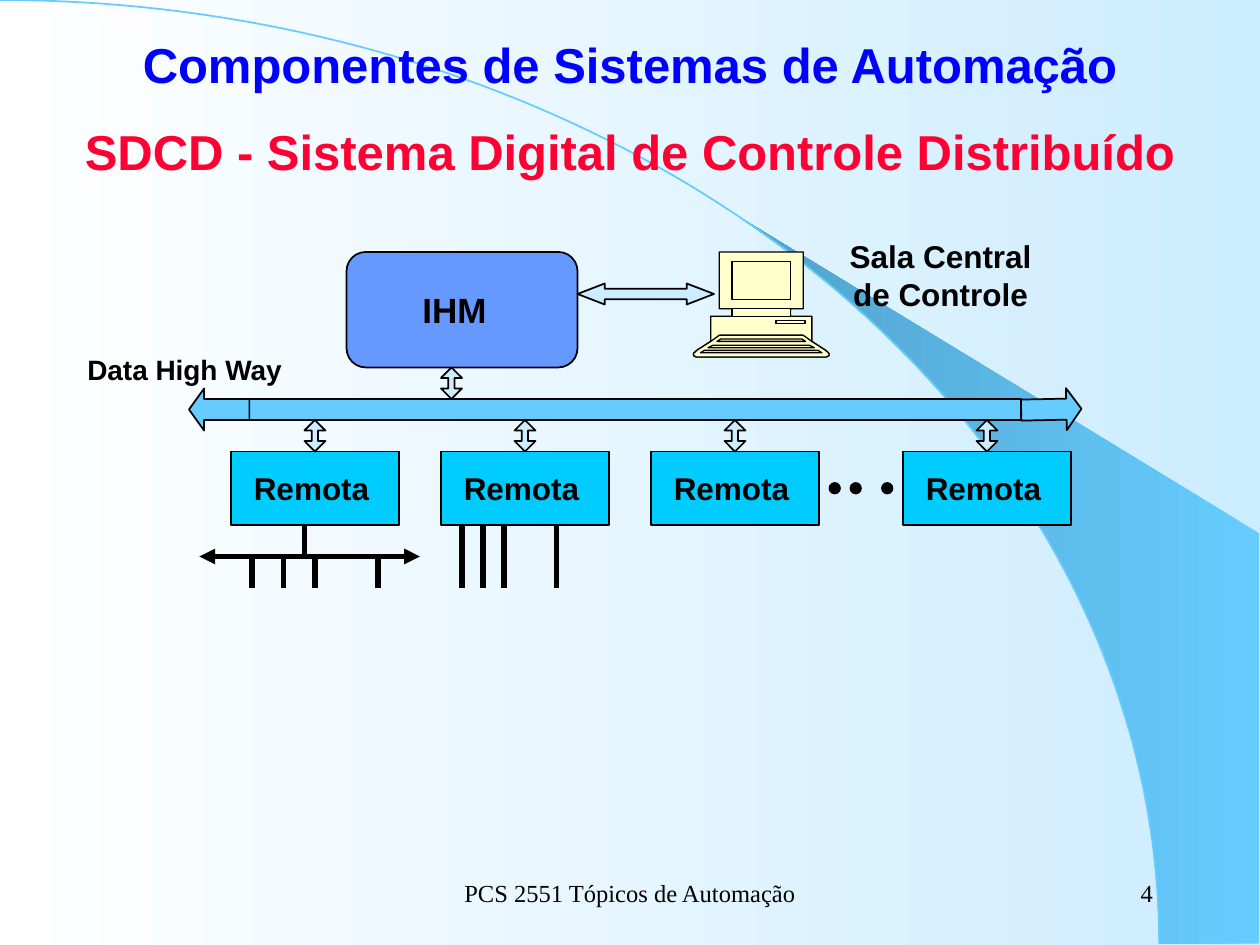
from math import asin, cos, pi, sin

from lxml.etree import SubElement
from pptx import Presentation
from pptx.dml.color import RGBColor
from pptx.enum.shapes import MSO_CONNECTOR, MSO_SHAPE as Preset
from pptx.enum.text import MSO_ANCHOR as Anchor, MSO_AUTO_SIZE, PP_ALIGN as Align
from pptx.oxml.ns import qn
from pptx.util import Pt

BLACK = RGBColor(0x00, 0x00, 0x00)
WHITE = RGBColor(0xFF, 0xFF, 0xFF)
BLUE = RGBColor(0x00, 0x00, 0xFF)
RED = RGBColor(0xFF, 0x00, 0x33)
PALE = RGBColor(0xCC, 0xEC, 0xFF)
SKY = RGBColor(0x66, 0xCC, 0xFF)
DEEP_SKY = RGBColor(0x51, 0xA2, 0xCB)
PANEL = RGBColor(0x66, 0x99, 0xFF)
CYAN = RGBColor(0x00, 0xCC, 0xFF)
CREAM = RGBColor(0xFF, 0xFF, 0xCC)

WIDTH, HEIGHT = 720, 540


def set_gradient(fill, start, end):
    fill.gradient()
    fill.gradient_angle = 180
    for stop, color in zip(fill.gradient_stops, (start, end)):
        stop.color.rgb = color


def write(frame, text, size, color=BLACK, font="Arial", bold=True,
          align=Align.CENTER, anchor=Anchor.TOP, wrap=True):
    frame.auto_size = MSO_AUTO_SIZE.NONE
    frame.word_wrap = wrap
    frame.vertical_anchor = anchor
    paragraph = frame.paragraphs[0]
    paragraph.text = text
    paragraph.alignment = align
    style = paragraph.font
    style.name, style.size, style.bold = font, Pt(size), bold
    style.color.rgb = color


def add_text(slide, box, text, size, **options):
    label = slide.shapes.add_textbox(*map(Pt, box))
    write(label.text_frame, text, size, **options)


def paint(shape, fill, weight=1):
    shape.shadow.inherit = False
    shape.fill.solid()
    shape.fill.fore_color.rgb = fill
    shape.line.color.rgb = BLACK
    shape.line.width = Pt(weight)


def add_block(slide, preset, box, fill, adjustments=(), weight=1):
    block = slide.shapes.add_shape(preset, *map(Pt, box))
    paint(block, fill, weight)
    for index, value in enumerate(adjustments):
        block.adjustments[index] = value
    return block


def add_outline(slide, points):
    (x, y), *rest = [(Pt(px), Pt(py)) for px, py in points]
    builder = slide.shapes.build_freeform(x, y)
    builder.add_line_segments(rest, close=True)
    outline = builder.convert_to_shape()
    outline.shadow.inherit = False
    return outline


def add_wire(slide, x1, y1, x2, y2, arrows=False):
    wire = slide.shapes.add_connector(
        MSO_CONNECTOR.STRAIGHT, Pt(x1), Pt(y1), Pt(x2), Pt(y2))
    wire.line.color.rgb = BLACK
    wire.line.width = Pt(3)
    if arrows:
        line = wire.line._get_or_add_ln()
        for end in ("a:headEnd", "a:tailEnd"):
            SubElement(line, qn(end), type="triangle")
    SubElement(wire.element.spPr, qn("a:effectLst"))


def add_link(slide, center, top):
    add_block(slide, Preset.UP_DOWN_ARROW, (center - 6, top, 12, 18), PALE, (0.5, 0.3))


def add_backdrop(slide, left, top, width, height):
    set_gradient(slide.background.fill, PALE, WHITE)
    radius_x, radius_y = 0.92 * width, height - 0.72

    # Beam between the arc and the right edge
    start, steps = asin(0.64), 16
    angles = [start + (pi / 2 - start) * i / steps for i in range(steps + 1)]
    curve = [(left + radius_x * sin(a), top + radius_y * (1 - cos(a))) for a in angles]
    right = left + width - 0.72
    beam = add_outline(slide, curve + [(right, top + radius_y), (right, top + 304.6)])
    set_gradient(beam.fill, SKY, DEEP_SKY)
    beam.line.fill.background()

    # Quarter arc
    arc = slide.shapes.add_shape(
        Preset.ARC, Pt(left - radius_x), Pt(top), Pt(2 * radius_x), Pt(2 * radius_y))
    arc.shadow.inherit = False
    arc.fill.background()
    arc.line.color.rgb = SKY
    arc.line.width = Pt(1)


def add_headings(slide, left, top, width):
    title = slide.shapes.title
    title.left, title.top, title.width, title.height = map(Pt, (left, top, width, 73.5))
    write(title.text_frame, "Componentes de Sistemas de Automação", 28,
          color=BLUE, anchor=Anchor.MIDDLE)
    # Bring the title in front of the backdrop
    title.element.getparent().append(title.element)
    add_text(slide, (left, top + 66, width, 41),
             "SDCD - Sistema Digital de Controle Distribuído", 28, color=RED)


def add_computer(slide, left, top, width):
    def add_part(half):
        mirrored = [(width - x, y) for x, y in reversed(half)]
        part = add_outline(slide, [(left + x, top + y) for x, y in half + mirrored])
        paint(part, CREAM, 0.75)

    # Silhouette
    add_part([(15, 0), (15, 32.4), (22.3, 32.4), (22.3, 36.7), (10.1, 36.7),
              (10.1, 51.1), (2.2, 56.2), (0.3, 58), (0.3, 59.2), (2, 60)])
    add_part([(22.3, 5.3), (22.3, 27.3)])    # screen
    add_part([(22.3, 32.4), (22.3, 36.7)])   # neck
    add_block(slide, Preset.RECTANGLE, (left + 47.5, top + 39, 16.6, 2), CREAM, weight=0.75)
    # Keyboard and its rows
    add_part([(15.1, 47.5), (10.1, 51.1), (2.2, 56.2), (0.3, 58), (0.3, 59.2), (2, 60)])
    for row in ([(15.8, 49.7), (13.7, 51.1)],
                [(11.5, 53.3), (8.6, 54.7)],
                [(6.5, 56.2), (4.3, 57.6)]):
        add_part(row)


def add_control_room(slide, left, top):
    ihm = add_block(slide, Preset.FLOWCHART_ALTERNATE_PROCESS, (left, top, 132, 66), PANEL)
    ihm.text_frame.margin_left, ihm.text_frame.margin_right = 0, Pt(8.6)
    write(ihm.text_frame, "IHM", 20, anchor=Anchor.MIDDLE)
    add_computer(slide, left + 198, top, 78)
    add_block(slide, Preset.LEFT_RIGHT_ARROW, (left + 132, top + 18, 78, 12), PALE, (0.5, 1.3))
    add_text(slide, (left + 276, top - 12, 127, 50), "Sala Central de Controle", 18)
    add_link(slide, left + 60, top + 66)


def add_highway(slide, left, top, width):
    tip = 34.5
    add_block(slide, Preset.RECTANGLE, (left + tip, top + 6, width - 2 * tip, 12), SKY)
    for x, angle in ((left, 0), (left + width - tip, 178.8)):
        end = add_block(slide, Preset.LEFT_ARROW, (x, top, tip, 24), SKY, (0.5, 0.36))
        end.rotation = angle
    add_text(slide, (left - 65.5, top - 24, 126, 27), "Data High Way", 16, wrap=False)


def add_remotes(slide, left, top):
    for offset in (0, 120, 240, 384):
        x = left + offset
        remote = add_block(slide, Preset.RECTANGLE, (x, top + 18, 96, 42), CYAN)
        remote.text_frame.margin_left, remote.text_frame.margin_right = 0, Pt(4)
        write(remote.text_frame, "Remota", 18, anchor=Anchor.MIDDLE)
        add_link(slide, x + 48, top)
    # Ellipsis before the last remote
    for offset in (342, 354, 372):
        add_block(slide, Preset.OVAL, (left + offset, top + 36, 6, 6), BLACK)


def add_field_wiring(slide, left, top):
    # Field bus under the first remote
    add_wire(slide, left, top + 18, left + 126, top + 18, arrows=True)
    add_wire(slide, left + 60, top, left + 60, top + 18)
    for x in (30, 48, 66, 102):
        add_wire(slide, left + x, top + 18, left + x, top + 36)
    # Direct wires under the second remote
    for x in (150, 162, 174, 204):
        add_wire(slide, left + x, top, left + x, top + 36)


def add_footer(slide, top):
    style = dict(font="Times New Roman", bold=False, anchor=Anchor.MIDDLE)
    add_text(slide, (246, top, 228, 36), "PCS 2551 Tópicos de Automação", 14, **style)
    add_text(slide, (516, top, 150, 36), "4", 14, align=Align.RIGHT, **style)


def main():
    deck = Presentation()
    deck.slide_width, deck.slide_height = Pt(WIDTH), Pt(HEIGHT)
    slide = deck.slides.add_slide(deck.slide_layouts[5])
    add_backdrop(slide, 0, 0, WIDTH, HEIGHT)
    add_headings(slide, 0, 0, WIDTH)
    add_control_room(slide, 198, 144)
    add_highway(slide, 108, 222, 510)
    add_remotes(slide, 132, 240)
    add_field_wiring(slide, 114, 300)
    add_footer(slide, 492)
    deck.save("out.pptx")


if __name__ == "__main__":
    main()
